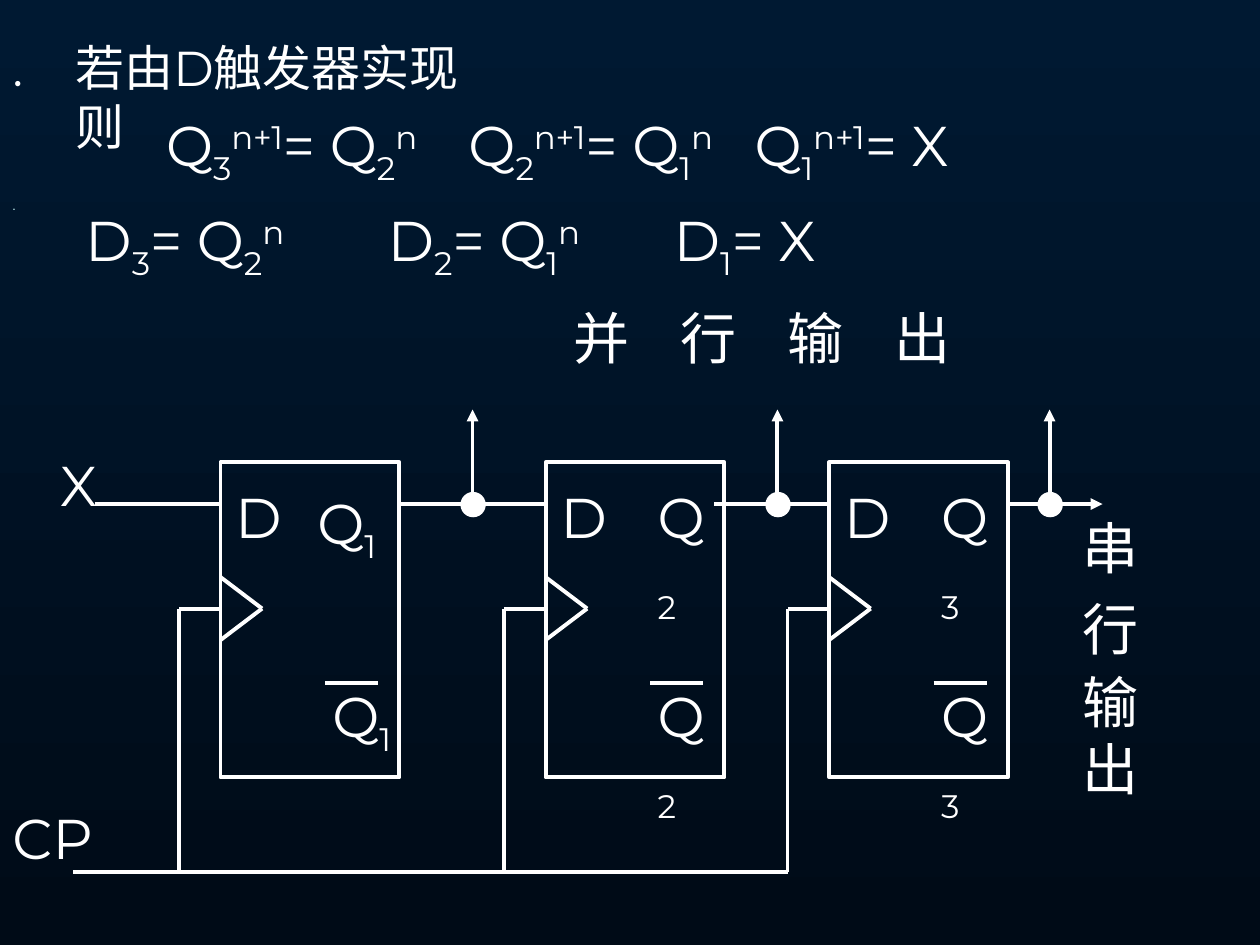
from dataclasses import dataclass
from typing import NamedTuple

from lxml.etree import SubElement
from pptx import Presentation
from pptx.dml.color import RGBColor
from pptx.enum.shapes import MSO_CONNECTOR as CONN, MSO_SHAPE as SHAPE
from pptx.enum.text import MSO_ANCHOR as ANCHOR, PP_ALIGN as ALIGN
from pptx.oxml.ns import qn
from pptx.util import Inches, Pt


@dataclass(frozen=True)
class Theme:
    """Colours, font and sizes of the slide."""
    white: RGBColor = RGBColor(0xFF, 0xFF, 0xFF)
    title: RGBColor = RGBColor(0xCC, 0xFF, 0xFF)
    bg_top: RGBColor = RGBColor(0x00, 0x19, 0x32)
    bg_bottom: RGBColor = RGBColor(0x00, 0x0B, 0x17)
    font: str = "Montserrat"
    title_size: int = 8
    body_size: int = 28
    label_size: int = 32
    line_width: float = 2.25


class Part(NamedTuple):
    """A run of text with its baseline shift in thousandths of a percent."""
    text: str
    shift: int = 0


class Box(NamedTuple):
    """A frame in inches."""
    left: float
    top: float
    width: float
    height: float


@dataclass(frozen=True)
class FlipFlop:
    """One D flip-flop of the register and its output node."""
    index: int
    left: float
    node: float
    q_box: Box
    bar_q_left: float


T = Theme()
SUB, SUP = -25000, 30000
WIRE_Y, CLOCK_Y, BUS_Y = 4, 4.83, 6.92
BOX_TOP, BOX_W, BOX_H = 3.67, 1.42, 2.5
Q_W, Q_H, LABEL_H = 0.69, 0.71, 0.64
EQUATION_TABS = (2.4, 4.67)
FLIP_FLOPS = (
    FlipFlop(1, 1.75, 3.75, Box(2.42, 3.83, 0.83, Q_H), 2.54),
    FlipFlop(2, 4.33, 6.17, Box(5.12, 3.78, Q_W, Q_H), 5.12),
    FlipFlop(3, 6.58, 8.33, Box(7.37, 3.78, Q_W, Q_H), 7.37),
)
SERIAL_OUT = (("串", 4.03), ("行", 4.67), ("输", 5.25), ("出", 5.78))


def place(s, box: Box) -> None:
    """Move and size a shape."""
    s.left, s.top, s.width, s.height = map(Inches, box)


def write(tf, parts: list[Part], size: float, color: RGBColor = T.white) -> None:
    """Add formatted runs to the first paragraph of a frame."""
    tf.word_wrap = True
    p = tf.paragraphs[0]
    for part in parts:
        r = p.add_run()
        r.text = part.text
        r.font.name, r.font.size = T.font, Pt(size)
        r.font.color.rgb = color
        if part.shift:
            r.font._element.set("baseline", str(part.shift))


def add_label(s, box: Box, parts: list[Part], size: float = T.label_size,
              tabs: tuple[float, ...] = ()) -> None:
    """Draw a text box, with left tab stops if given."""
    tf = s.shapes.add_textbox(*map(Inches, box)).text_frame
    if tabs:
        tab_list = SubElement(tf.paragraphs[0]._p.get_or_add_pPr(), qn("a:tabLst"))
        for stop in tabs:
            SubElement(tab_list, qn("a:tab"), pos=str(Inches(stop)), algn="l")
    write(tf, parts, size)


def add_wire(s, x1: float, y1: float, x2: float, y2: float, arrow: bool = False) -> None:
    """Draw a straight line, with an arrowhead at its end if asked."""
    c = s.shapes.add_connector(CONN.STRAIGHT, *map(Inches, (x1, y1, x2, y2)))
    c.line.color.rgb, c.line.width = T.white, Pt(T.line_width)
    if arrow:
        SubElement(c.line._get_or_add_ln(), qn("a:tailEnd"), type="triangle")
    SubElement(c._element.spPr, qn("a:effectLst"))


def add_outline(s, kind: SHAPE, box: Box, filled: bool = False) -> None:
    """Draw a white outlined shape, solid white if filled."""
    sp = s.shapes.add_shape(kind, *map(Inches, box))
    sp.shadow.inherit = False
    sp.line.color.rgb, sp.line.width = T.white, Pt(T.line_width)
    if filled:
        sp.fill.solid()
        sp.fill.fore_color.rgb = T.white
    else:
        sp.fill.background()


def add_flip_flop(s, ff: FlipFlop) -> None:
    """Draw a flip-flop with its labels, clock input and parallel output."""
    x = ff.left
    q = [Part("Q"), Part(str(ff.index), SUB)]
    add_outline(s, SHAPE.RECTANGLE, Box(x, BOX_TOP, BOX_W, BOX_H))
    for y in (CLOCK_Y - 0.25, CLOCK_Y + 0.25):
        add_wire(s, x, y, x + 0.33, CLOCK_Y)
    add_wire(s, x, CLOCK_Y, x - 0.33, CLOCK_Y)
    add_wire(s, x - 0.33, CLOCK_Y, x - 0.33, BUS_Y)
    add_label(s, Box(x + 0.02, 3.78, 0.52, LABEL_H), [Part("D")])
    add_label(s, ff.q_box, q)
    add_label(s, Box(ff.bar_q_left, 5.36, Q_W, Q_H), q)
    add_wire(s, x + 0.83, 5.42, x + 1.25, 5.42)
    add_wire(s, ff.node, WIRE_Y, ff.node, 3.25, arrow=True)
    add_outline(s, SHAPE.OVAL, Box(ff.node - 0.08, WIRE_Y - 0.08, 0.17, 0.17), filled=True)


def equations(name: str, next_state: bool) -> list[Part]:
    """List the equations of stages 3 to 1, parted by tabs."""
    parts = []
    for i in (3, 2, 1):
        parts += [Part(name), Part(str(i), SUB)]
        if next_state:
            parts.append(Part("n+1", SUP))
        if i > 1:
            parts += [Part("= Q"), Part(str(i - 1), SUB), Part("n", SUP), Part("\t")]
        else:
            parts.append(Part("= X"))
    return parts


def add_placeholders(s) -> None:
    """Fill and place the title and body placeholders."""
    title, body = s.shapes.title, s.placeholders[1]
    place(title, Box(0, 1.5, 8.5, 0.24))
    title.text_frame.vertical_anchor = ANCHOR.BOTTOM
    title.text_frame.paragraphs[0].alignment = ALIGN.LEFT
    write(title.text_frame, [Part(".")], T.title_size, T.title)
    place(body, Box(0, 0.25, 9.75, 7.25))
    p = body.text_frame.paragraphs[0]
    p.space_before = Pt(0)
    pPr = p._p.get_or_add_pPr()
    pPr.set("marL", str(Inches(0.38)))
    pPr.set("indent", str(Inches(-0.38)))
    SubElement(pPr, qn("a:buNone"))
    write(body.text_frame, [Part(".")], T.body_size)


def main() -> None:
    """Build the shift register slide."""
    prs = Presentation()
    prs.slide_width, prs.slide_height = Inches(10), Inches(7.5)
    s = prs.slides.add_slide(prs.slide_layouts[1])
    fill = s.background.fill
    fill.gradient()
    fill.gradient_angle = 270
    for stop, color in zip(fill.gradient_stops, (T.bg_top, T.bg_bottom)):
        stop.color.rgb = color
    add_placeholders(s)

    for ff in FLIP_FLOPS:
        add_flip_flop(s, ff)
    for x1, x2 in ((0.75, 1.75), (3.17, 4.33), (5.67, 6.58)):
        add_wire(s, x1, WIRE_Y, x2, WIRE_Y)
    add_wire(s, 8, WIRE_Y, 8.75, WIRE_Y, arrow=True)
    add_wire(s, 6.25, BUS_Y, 0.58, BUS_Y)

    add_label(s, Box(0.38, 3.53, 0.46, LABEL_H), [Part("X")])
    add_label(s, Box(0, 6.33, 1.08, LABEL_H), [Part("CP")])
    for char, top in SERIAL_OUT:
        add_label(s, Box(8.49, top, 0.64, LABEL_H), [Part(char)])
    add_label(s, Box(4.45, 2.36, 3.3, LABEL_H), [Part("并\t行\t输\t出")],
              tabs=(0.85, 1.7, 2.55))

    add_label(s, Box(0.58, 1.58, 8, Q_H), equations("D", False), tabs=EQUATION_TABS)
    add_label(s, Box(1.22, 0.83, 7, Q_H), equations("Q", True), tabs=EQUATION_TABS)
    add_label(s, Box(0.5, 0.25, 3.61, 1.04), [Part("若由D触发器实现则")], T.body_size)
    prs.save("out.pptx")


if __name__ == "__main__":
    main()
